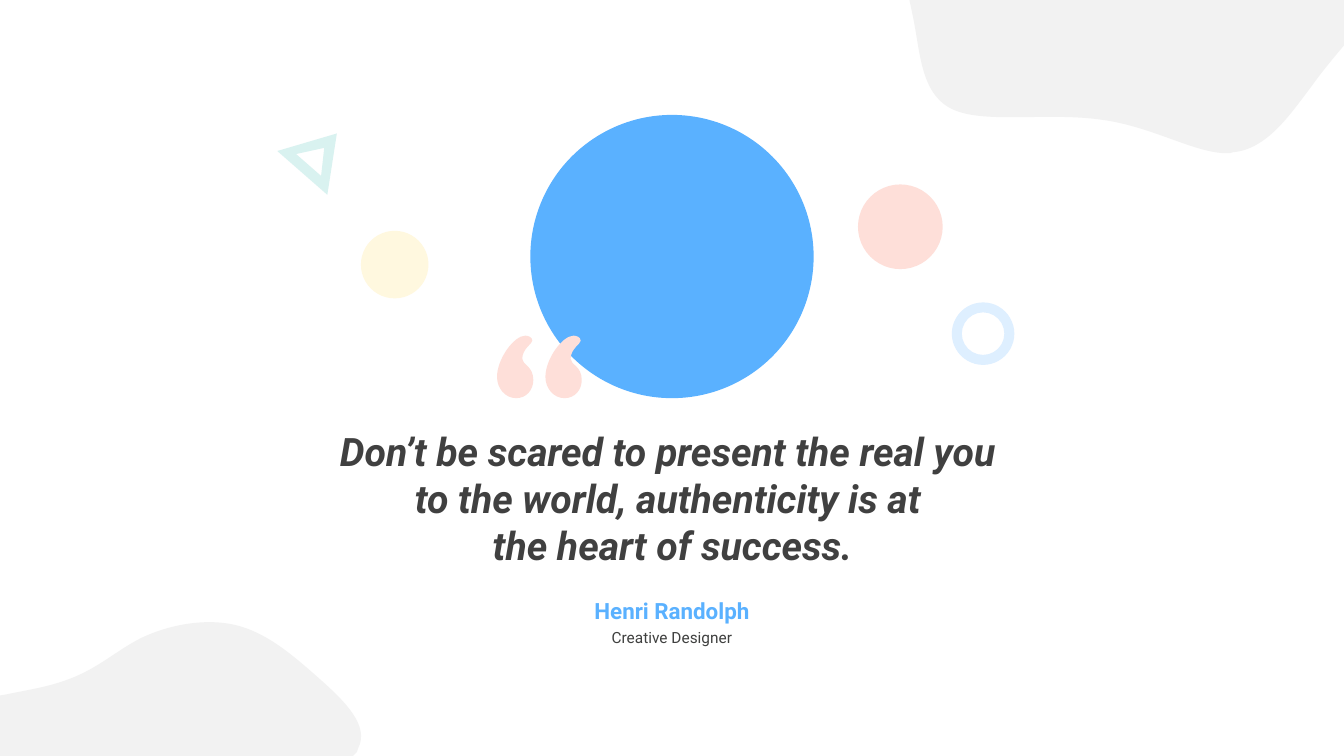
from dataclasses import dataclass

from lxml import etree
from pptx import Presentation
from pptx.dml.color import RGBColor
from pptx.enum.shapes import MSO_SHAPE
from pptx.enum.text import MSO_ANCHOR, MSO_AUTO_SIZE, PP_ALIGN
from pptx.oxml.ns import qn
from pptx.util import Inches, Pt

OVAL, DONUT = MSO_SHAPE.OVAL, MSO_SHAPE.DONUT
TOP, CENTER = MSO_ANCHOR.TOP, PP_ALIGN.CENTER
NO_FIT = MSO_AUTO_SIZE.NONE
TITLE_ONLY = 5


@dataclass(frozen=True)
class Theme:
    font: str = "Roboto"
    text: str = "404040"
    role: str = "3F403F"
    blue: str = "5AB1FF"
    grey: str = "F2F2F2"
    pink: str = "FEDFD9"
    mint: str = "D9F2F0"
    pale_blue: str = "DEEFFF"
    cream: str = "FFF8DF"
    quote_size: int = 28
    name_size: int = 16
    role_size: int = 11


THEME = Theme()

# Outlines in inches from the corner of their box: pairs are corners,
# six numbers are a Bezier curve (two handles and an end point).
TOP_BLOB = [
    (3.15, 1.52), (2.83, 1.52, 2.42, 1.26, 1.92, 1.19),
    (1.39, 1.11, 0.76, 1.23, 0.44, 1.09), (0.12, 0.95, 0.11, 0.55, 0.04, 0.19),
    (0, 0), (4.31, 0), (4.31, 0.45), (4.21, 0.57, 4.1, 0.7, 4, 0.84),
    (3.78, 1.13, 3.55, 1.48, 3.21, 1.51), (3.19, 1.52, 3.17, 1.52, 3.15, 1.52),
]
BOTTOM_BLOB = [
    (3.5, 1.33), (0, 1.33), (0, 0.73), (0.06, 0.72),
    (0.25, 0.68, 0.45, 0.65, 0.62, 0.59), (0.96, 0.48, 1.14, 0.29, 1.4, 0.16),
    (1.67, 0.03, 2.03, -0.04, 2.33, 0.03), (2.63, 0.1, 2.88, 0.31, 3.13, 0.53),
    (3.38, 0.75, 3.64, 0.99, 3.57, 1.21), (3.56, 1.23, 3.55, 1.26, 3.54, 1.29),
]
QUOTE_MARK = [
    (0.28, 0), (0.3, 0, 0.35, 0.01, 0.35, 0.05),
    (0.35, 0.08, 0.25, 0.13, 0.25, 0.23), (0.25, 0.29, 0.36, 0.3, 0.36, 0.44),
    (0.36, 0.54, 0.29, 0.62, 0.19, 0.62), (0.08, 0.62, 0, 0.52, 0, 0.41),
    (0, 0.23, 0.17, 0, 0.28, 0),
]
TRIANGLE_OUTER = [(0.33, 0), (0.66, 0.52), (0, 0.52)]
TRIANGLE_INNER = [(0.33, 0.19), (0.16, 0.42), (0.49, 0.42)]


def paint(sp, color):
    sp.shadow.inherit = False
    sp.fill.solid()
    sp.fill.fore_color.rgb = RGBColor.from_string(color)
    sp.line.fill.background()


def add_outline(slide, box, outlines, color):
    """Make a freeform the size of its box, then draw the outlines in it."""
    x, y, w, h = (Inches(v) for v in box)
    builder = slide.shapes.build_freeform(x, y)
    builder.add_line_segments([(x + w, y), (x + w, y + h), (x, y + h)])
    sp = builder.convert_to_shape()
    geometry = next(sp._element.iter(qn("a:path")))
    for child in list(geometry):
        geometry.remove(child)
    for outline in outlines:
        for i, part in enumerate(outline):
            tag = "a:moveTo" if i == 0 else "a:lnTo" if len(part) == 2 else "a:cubicBezTo"
            command = etree.SubElement(geometry, qn(tag))
            for px, py in zip(part[::2], part[1::2]):
                etree.SubElement(command, qn("a:pt"),
                                 x=str(Inches(px)), y=str(Inches(py)))
        etree.SubElement(geometry, qn("a:close"))
    paint(sp, color)
    return sp


def add_round(slide, x, y, size, color, kind=OVAL):
    sp = slide.shapes.add_shape(kind, Inches(x), Inches(y), Inches(size), Inches(size))
    paint(sp, color)
    return sp


def fill_text(sp, box, lines, size, color, bold=False, italic=False):
    sp.left, sp.top, sp.width, sp.height = (Inches(v) for v in box)
    tf = sp.text_frame
    tf.margin_left = tf.margin_right = tf.margin_top = tf.margin_bottom = 0
    tf.word_wrap, tf.auto_size, tf.vertical_anchor = True, NO_FIT, TOP
    p = tf.paragraphs[0]
    p.alignment = CENTER
    for i, line in enumerate(lines):
        if i:
            p.add_line_break()
        r = p.add_run()
        r.text = line
        r.font.name, r.font.size = THEME.font, Pt(size)
        r.font.bold, r.font.italic = bold, italic
        r.font.color.rgb = RGBColor.from_string(color)


def add_corners(slide, width, height):
    add_outline(slide, (width - 4.31, 0, 4.31, 1.52), [TOP_BLOB], THEME.grey)
    add_outline(slide, (0, height - 1.33, 3.58, 1.33), [BOTTOM_BLOB], THEME.grey)


def add_portrait(slide, x, y, size):
    add_round(slide, x, y, size, THEME.blue)
    # Pair of quote marks over the lower left edge
    second = [tuple(v + 0.48 * (i % 2 == 0) for i, v in enumerate(part))
              for part in QUOTE_MARK]
    add_outline(slide, (x - 0.33, y + 2.19, 0.84, 0.62),
                [QUOTE_MARK, second], THEME.pink)


def add_ornaments(slide, x, y):
    triangle = add_outline(slide, (x, y, 0.66, 0.52),
                           [TRIANGLE_OUTER, TRIANGLE_INNER], THEME.mint)
    triangle.rotation = 41.2
    add_round(slide, x + 0.74, y + 1.03, 0.67, THEME.cream)
    add_round(slide, x + 5.67, y + 0.57, 0.84, THEME.pink)
    ring = add_round(slide, x + 6.6, y + 1.74, 0.62, THEME.pale_blue, DONUT)
    ring.adjustments[0] = 0.16


def add_quote(slide, x, y, width):
    # Trailing spaces belong to the wording of the wrapped lines
    fill_text(slide.shapes.title, (x, y, width, 1.44),
              ["Don’t be scared to present the real you ",
               "to the world, authenticity is at ",
               "the heart of success."],
              THEME.quote_size, THEME.text, bold=True, italic=True)
    # Author's name and role
    for top, height, line, size, color, bold in (
            (1.68, 0.26, "Henri Randolph", THEME.name_size, THEME.blue, True),
            (1.99, 0.27, "Creative Designer", THEME.role_size, THEME.role, False)):
        fill_text(slide.shapes.add_textbox(0, 0, 0, 0),
                  (x + 2.8, y + top, 1.93, height), [line], size, color, bold)


def main():
    prs = Presentation()
    width, height = 13.33, 7.5
    prs.slide_width, prs.slide_height = Inches(width), Inches(height)
    slide = prs.slides.add_slide(prs.slide_layouts[TITLE_ONLY])
    add_corners(slide, width, height)
    add_portrait(slide, 5.26, 1.14, 2.81)
    add_ornaments(slide, 2.84, 1.26)
    add_quote(slide, 2.9, 4.24, 7.54)
    prs.save("out.pptx")


if __name__ == "__main__":
    main()
